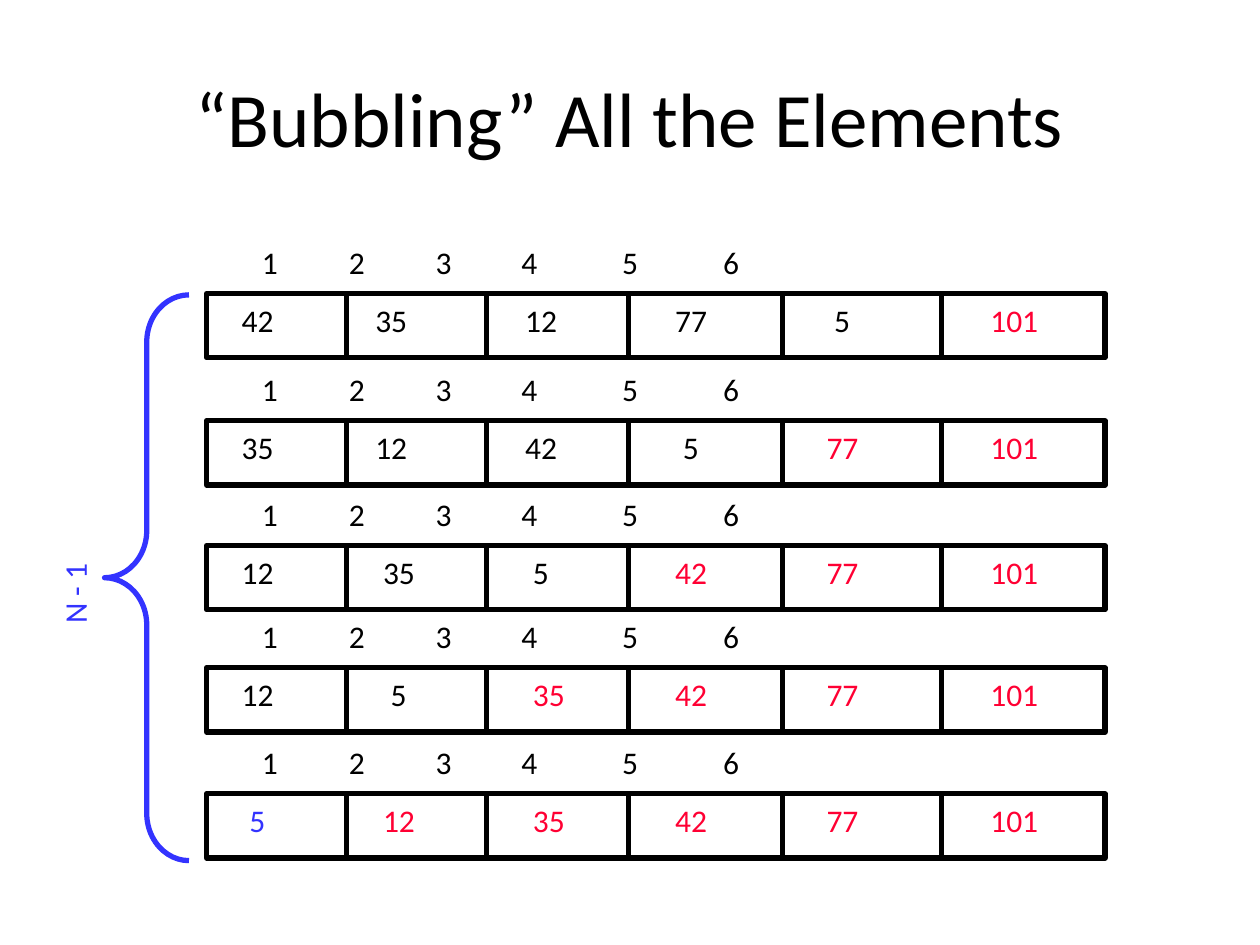
from pptx import Presentation
from pptx.dml.color import RGBColor
from pptx.enum.shapes import MSO_CONNECTOR, MSO_SHAPE
from pptx.enum.text import MSO_ANCHOR, PP_ALIGN
from pptx.oxml.ns import qn
from pptx.util import Inches, Pt
from lxml.etree import SubElement

TITLE = "“Bubbling” All the Elements"
BRACE_LABEL = "N - 1"
BLACK, RED, BLUE = "000000", "FF0033", "3333FF"

# One entry per pass: top of the array, its values, and the indent steps of each value.
PASSES = [
    (2.33, (42, 35, 12, 77, 5, 101), (0, 0, 0, 0, 2, 1)),
    (3.34, (35, 12, 42, 5, 77, 101), (0, 0, 0, 1, 1, 1)),
    (4.33, (12, 35, 5, 42, 77, 101), (0, 1, 1, 0, 1, 1)),
    (5.30, (12, 5, 35, 42, 77, 101), (0, 2, 1, 0, 1, 1)),
    (6.30, (5, 12, 35, 42, 77, 101), (1, 1, 1, 0, 1, 1)),
]
ARRAY_LEFT, ARRAY_WIDTH, ARRAY_HEIGHT = 1.64, 7.13, 0.51
DIVIDERS = (2.75, 3.86, 4.99, 6.21, 7.47)
VALUE_LEFTS = (1.82, 2.88, 4.07, 5.26, 6.40, 7.70)
INDEX_LEFT, INDEX_RISE = 1.98, 0.45
INDEX_TABS = (0.69, 1.38, 2.06, 2.86, 3.66)
INDENT_STEP, TEXT_HEIGHT = 0.06, 0.5


def colour(value):
    return RGBColor.from_string(value)


def format_font(font, size, value):
    settings = {"name": "Calibri", "size": Pt(size)}
    for name, setting in settings.items():
        setattr(font, name, setting)
    font.color.rgb = colour(value)


def format_line(line, value):
    line.color.rgb = colour(value)
    line.width = Pt(3)


def add_label(page, text, left, top, width, value=BLACK, tabs=(), indent=0):
    box = page.shapes.add_textbox(*map(Inches, (left, top, width, TEXT_HEIGHT)))
    frame = box.text_frame
    frame.word_wrap = True
    frame.margin_left = Inches(0.1 + indent)
    para = frame.paragraphs[0]
    if tabs:
        tab_list = SubElement(para._p.get_or_add_pPr(), qn("a:tabLst"))
        for position in tabs:
            SubElement(tab_list, qn("a:tab"), pos=str(Inches(position)), algn="l")
    span = para.add_run()
    span.text = text
    format_font(span.font, 18, value)
    return box


def add_outline(page, kind, left, top, width, height, value):
    shape = page.shapes.add_shape(kind, *map(Inches, (left, top, width, height)))
    shape.fill.background()
    shape.shadow.inherit = False
    format_line(shape.line, value)
    return shape


def add_divider(page, x, top):
    line = page.shapes.add_connector(
        MSO_CONNECTOR.STRAIGHT, *map(Inches, (x, top, x, top + ARRAY_HEIGHT)))
    format_line(line.line, BLACK)
    SubElement(line._element.spPr, qn("a:effectLst"))


def value_colour(pass_number, column):
    """Each pass settles one more element from the right; the last one left is blue."""
    if column >= len(PASSES) - pass_number:
        return RED
    return BLUE if pass_number == len(PASSES) - 1 else BLACK


def add_pass(page, number, top, values, indents):
    add_outline(page, MSO_SHAPE.RECTANGLE, ARRAY_LEFT, top, ARRAY_WIDTH, ARRAY_HEIGHT, BLACK)
    for x in DIVIDERS:
        add_divider(page, x, top)
    for column, (value, left, steps) in enumerate(zip(values, VALUE_LEFTS, indents)):
        add_label(page, str(value), left, top + 0.01, 0.85,
                  value_colour(number, column), indent=steps * INDENT_STEP)
    indexes = "\t".join(str(i + 1) for i in range(len(values)))
    add_label(page, indexes, INDEX_LEFT, top - INDEX_RISE, 6.28, tabs=INDEX_TABS)


def main():
    deck = Presentation()
    deck.slide_width, deck.slide_height = Inches(10), Inches(7.5)
    page = deck.slides.add_slide(deck.slide_layouts[5])

    title = page.shapes.title
    title.left, title.top, title.width, title.height = map(Inches, (0.5, 0.3, 9, 1.25))
    title.text_frame.text = TITLE
    title.text_frame.vertical_anchor = MSO_ANCHOR.MIDDLE
    para = title.text_frame.paragraphs[0]
    para.alignment = PP_ALIGN.CENTER
    format_font(para.runs[0].font, 44, BLACK)

    for number, (top, values, indents) in enumerate(PASSES):
        add_pass(page, number, top, values, indents)

    brace = add_outline(page, MSO_SHAPE.LEFT_BRACE, 0.83, 2.34, 0.67, 4.49, BLUE)
    brace.adjustments[0] = 0.56
    add_label(page, BRACE_LABEL, 0.18, 4.34, 0.92, BLUE).rotation = 270
    deck.save("out.pptx")


if __name__ == "__main__":
    main()
